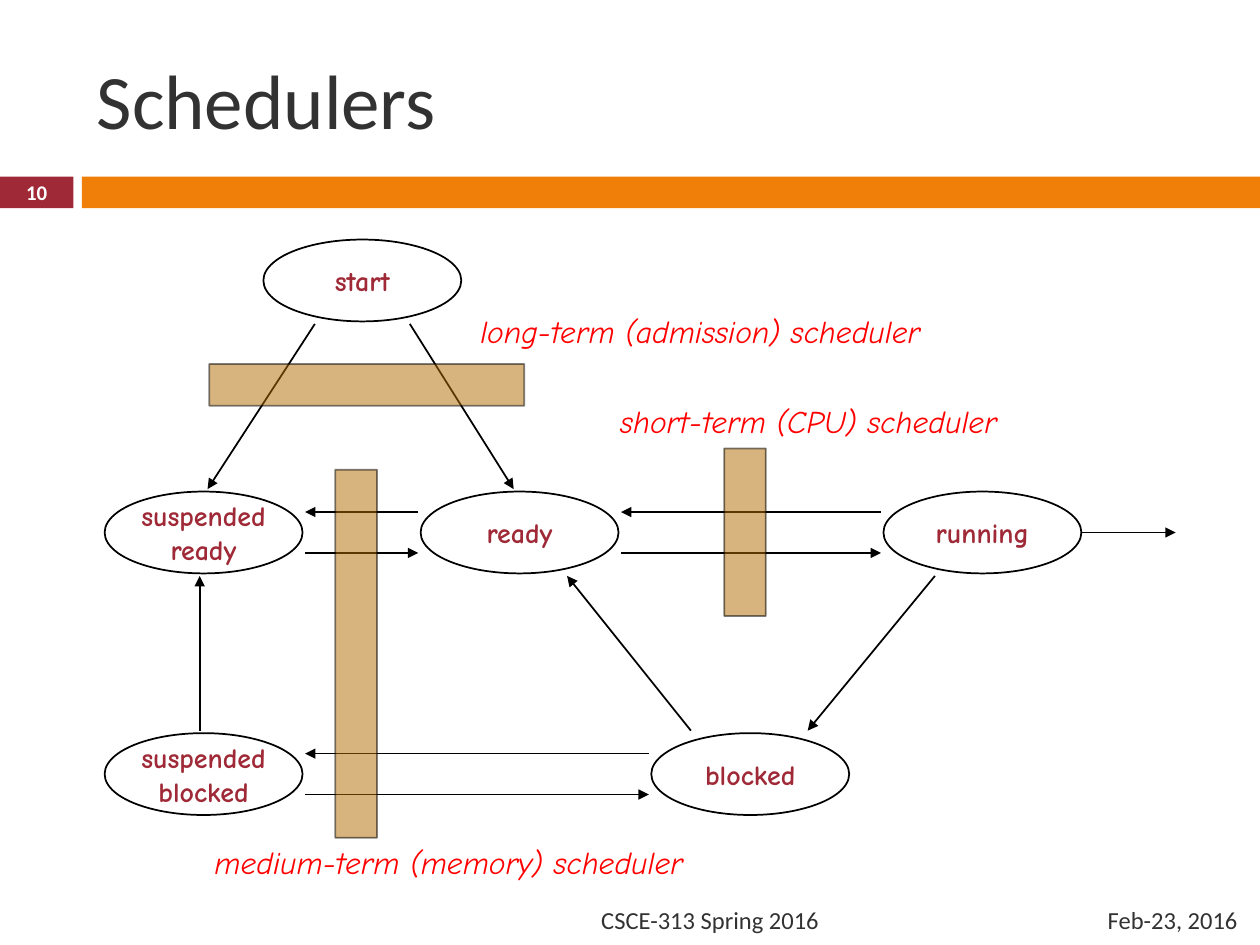
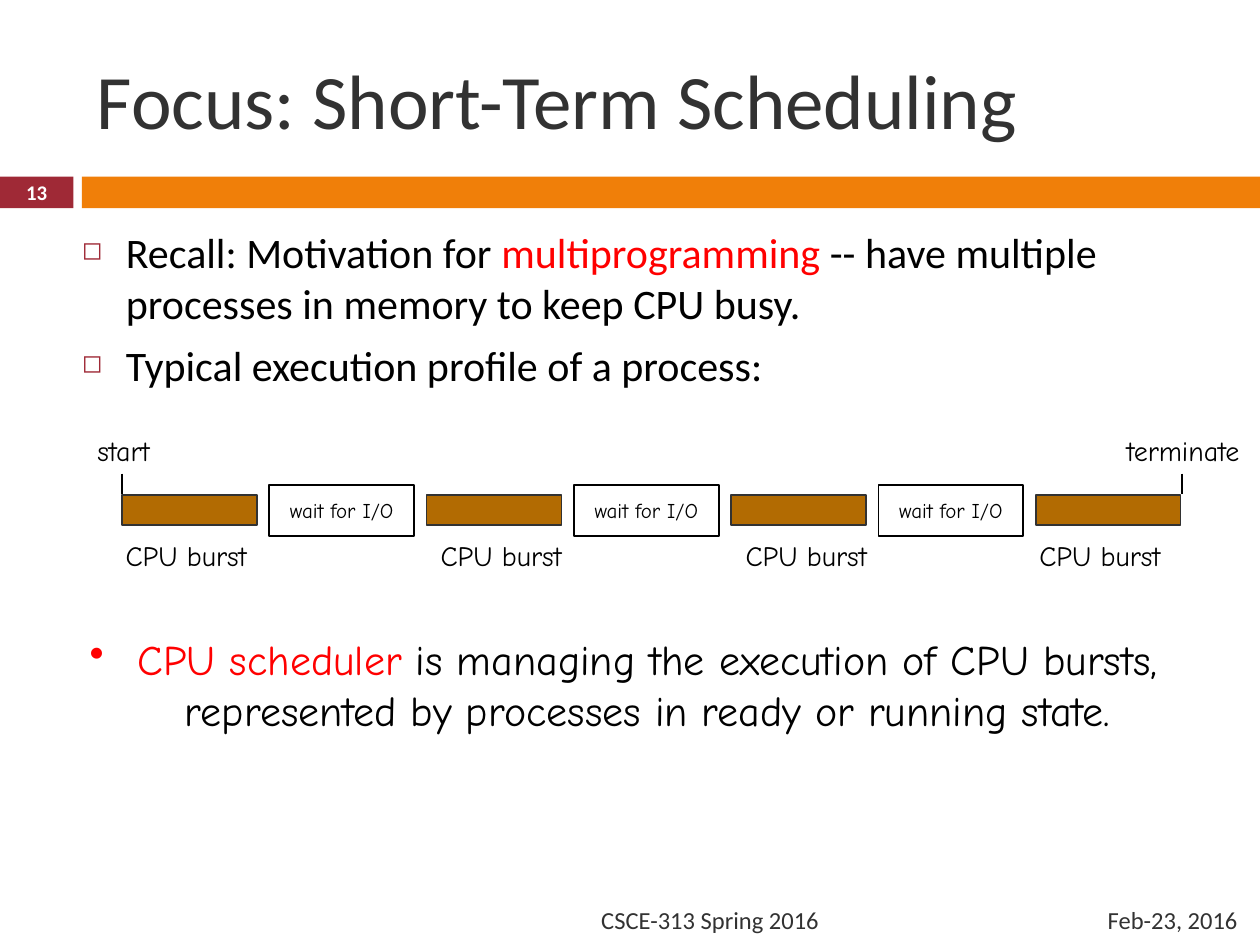
from lxml.etree import SubElement
from pptx import Presentation
from pptx.dml.color import RGBColor
from pptx.enum.shapes import MSO_CONNECTOR, MSO_SHAPE
from pptx.enum.text import MSO_ANCHOR, PP_ALIGN
from pptx.oxml.ns import qn
from pptx.util import Cm, Pt

RECT, OVAL = MSO_SHAPE.RECTANGLE, MSO_SHAPE.OVAL
LEFT, MID, RIGHT = PP_ALIGN.LEFT, PP_ALIGN.CENTER, PP_ALIGN.RIGHT
TOP, CENTRE = MSO_ANCHOR.TOP, MSO_ANCHOR.MIDDLE
LINE = MSO_CONNECTOR.STRAIGHT
SANS, COMIC = "Calibri", "Comic Neue"
HUES = {"wine": "9F2936", "orange": "F07F09", "grey": "323232", "black": "000000",
        "white": "FFFFFF", "red": "FF0000", "brown": "B26B02"}

# Shared content
COURSE, DATE = "CSCE-313 Spring 2016", "Feb-23, 2016"

# Schedulers: name -> (lines, left, top), in cm
STATES = {
    "start": (["start"], 5.31, 4.83),
    "blocked": (["blocked"], 13.13, 14.78),
    "ready": (["ready"], 8.48, 9.91),
    "running": (["running"], 17.81, 9.91),
    "held ready": (["suspended", "ready"], 2.11, 9.91),
    "held blocked": (["suspended", "blocked"], 2.11, 14.78),
}
WIDE, HIGH, GAP = 3.99, 1.65, 0.05
# Two-way moves: left state, right state
PAIRS = [("held ready", "ready"), ("ready", "running"), ("held blocked", "blocked")]
# One-way moves: from, share of its width, to, share of its width
MOVES = [
    ("start", 0.74, "ready", 0.47),
    ("start", 0.26, "held ready", 0.52),
    ("running", 0.26, "blocked", 0.79),
    ("blocked", 0.2, "ready", 0.74),
    ("held blocked", 0.48, "held ready", 0.48),
]
# Scheduler: label, label box, bar box
GATES = [
    ("long-term (admission) scheduler", (9.32, 6.17, 9.6, 1.02), (4.22, 7.34, 6.35, 0.84)),
    ("medium-term (memory) scheduler", (4.01, 16.87, 10.08, 1.02), (6.76, 9.47, 0.84, 7.42)),
    ("short-term (CPU) scheduler", (12.07, 7.98, 8.46, 1.02), (14.6, 9.04, 0.84, 3.38)),
]

# Short-term scheduling: paragraphs are lists of (text, colour)
RECALL = [
    [("Recall: Motivation for ", "black"), ("multiprogramming", "red"),
     (" -- have multiple processes in memory to keep CPU busy.", "black")],
    [("Typical execution profile of a process:", "black")],
]
CLOSE = [[("CPU scheduler", "red"),
          (" is managing the execution of CPU bursts, "
           "represented by processes in ready or running state.", "black")]]
# Burst width, label left
BURSTS = [(2.72, 2.18), (2.72, 8.53), (2.72, 14.68), (2.92, 20.6)]
# End label, its left and width, tick position
ENDS = [("start", 1.55, 1.88, 2.46), ("terminate", 22.3, 3.1, 23.83)]
FIRST, STEP = 2.46, 6.14


def hue(name):
    return RGBColor.from_string(HUES[name])


def write(shape, paras, size, font, tint, align=LEFT, anchor=TOP, wrap=False,
          bold=False, slant=False, mark=None):
    """Fill a shape with text; mark is (sign, colour, percent, indent, space)."""
    frame = shape.text_frame
    frame.word_wrap, frame.vertical_anchor = wrap, anchor
    for i, runs in enumerate(paras):
        para = frame.paragraphs[0] if i == 0 else frame.add_paragraph()
        para.alignment = align
        if mark:
            bullet(para, *mark)
        face = para.font
        face.name, face.size, face.bold, face.italic = font, Pt(size), bold, slant
        face.color.rgb = hue(tint)
        for words, shade in [(runs, tint)] if isinstance(runs, str) else runs:
            run = para.add_run()
            run.text = words
            if shade != tint:
                run.font.color.rgb = hue(shade)


def bullet(para, sign, tint, share, dent, space):
    para.space_before = Pt(space)
    props = para._p.get_or_add_pPr()
    props.set("marL", str(Cm(dent)))
    props.set("indent", str(-Cm(dent)))
    SubElement(SubElement(props, qn("a:buClr")), qn("a:srgbClr"), val=HUES[tint])
    SubElement(props, qn("a:buSzPct"), val=str(share * 1000))
    SubElement(props, qn("a:buChar"), char=sign)


def label(slide, box, *args, **opts):
    write(slide.shapes.add_textbox(*map(Cm, box)), *args, **opts)


def block(slide, kind, box, fill=None, edge=None):
    shape = slide.shapes.add_shape(kind, *map(Cm, box))
    shape.shadow.inherit = False
    if fill:
        shape.fill.solid()
        shape.fill.fore_color.rgb = hue(fill)
    else:
        shape.fill.background()
    if edge:
        shape.line.color.rgb = hue(edge)
        shape.line.width = Pt(1)
    else:
        shape.line.fill.background()
    return shape


def fade(shape, *shares):
    """Set the opacity of fill and line, in percent."""
    for tint, share in zip(shape.element.spPr.iter(qn("a:srgbClr")), shares):
        SubElement(tint, qn("a:alpha"), val=str(share * 1000))


def link(slide, x1, y1, x2, y2, arrow=True):
    line = slide.shapes.add_connector(LINE, Cm(x1), Cm(y1), Cm(x2), Cm(y2))
    line.line.color.rgb = hue("black")
    line.line.width = Pt(1)
    if arrow:
        SubElement(line.line._get_or_add_ln(), qn("a:tailEnd"), type="triangle")
    SubElement(line.element.spPr, qn("a:effectLst"))


def start(deck, title, number):
    """Add a slide with title, bands and footers."""
    slide = deck.slides.add_slide(deck.slide_layouts[6])
    tag = block(slide, RECT, (0, 3.56, 1.48, 0.64), "wine")
    write(tag, [number], 11.9, SANS, "white", MID, CENTRE, bold=True)
    block(slide, RECT, (1.65, 3.56, 23.75, 0.64), "orange")
    label(slide, (1.7, 0.63, 22.66, 2.74), [title], 44, SANS, "grey",
          anchor=CENTRE, wrap=True)
    for words, left, width in [(DATE, 17.78, 7.42), (COURSE, 1.7, 15.06)]:
        label(slide, (left, 18.03, width, 1.02), [words], 14, SANS, "grey",
              RIGHT, CENTRE, wrap=True)
    return slide


def draw_states(deck):
    slide = start(deck, "Schedulers", "10")
    for lines, left, top in STATES.values():
        oval = block(slide, OVAL, (left, top, WIDE, HIGH), "white", "black")
        write(oval, lines, 16, COMIC, "wine", MID, CENTRE, bold=True)

    # Two-way moves, a quarter of the height from top and bottom
    for a, b in PAIRS:
        _, left, top = STATES[a]
        x1, x2 = left + WIDE + GAP, STATES[b][1] - GAP
        link(slide, x2, top + HIGH / 4, x1, top + HIGH / 4)
        link(slide, x1, top + HIGH * 3 / 4, x2, top + HIGH * 3 / 4)

    # One-way moves between rows
    for a, part, b, share in MOVES:
        (_, x1, y1), (_, x2, y2) = STATES[a], STATES[b]
        down = y2 > y1
        link(slide, x1 + part * WIDE, y1 + HIGH + GAP if down else y1 - GAP,
             x2 + share * WIDE, y2 - GAP if down else y2 + HIGH + GAP)

    # Way out of running
    _, left, top = STATES["running"]
    link(slide, left + WIDE, top + HIGH / 2, 23.7, top + HIGH / 2)

    # Schedulers across the moves
    for words, place, bar in GATES:
        fade(block(slide, RECT, bar, "brown", "black"), 51, 50)
        label(slide, place, [words], 18, COMIC, "red", MID, slant=True)


def draw_bursts(deck):
    slide = start(deck, "Focus: Short-Term Scheduling", "13")
    label(slide, (1.4, 4.45, 23.29, 4.01), RECALL, 24, SANS, "black", wrap=True,
          mark=("◻", "wine", 60, 0.89, 7))

    # Time line
    for i, (width, left) in enumerate(BURSTS):
        x = FIRST + i * STEP
        block(slide, RECT, (x, 9.98, width, 0.61), "brown", "grey")
        label(slide, (left, 10.74, 3.15, 0.91), ["CPU burst"], 16, COMIC, "black", MID)
        if i < len(BURSTS) - 1:
            wait = block(slide, RECT, (x + 2.97, 9.78, 2.92, 1.02), edge="black")
            write(wait, ["wait for I/O"], 12, COMIC, "black", MID, CENTRE)
    for words, left, width, tick in ENDS:
        link(slide, tick, 9.55, tick, 9.96, arrow=False)
        label(slide, (left, 8.61, width, 0.91), [words], 16, COMIC, "black", MID)

    label(slide, (1.32, 12.65, 22.5, 4.01), CLOSE, 24, COMIC, "black", MID, wrap=True,
          mark=("•", "red", 100, 0.97, 5))


def main():
    deck = Presentation()
    deck.slide_width, deck.slide_height = Cm(25.4), Cm(19.05)
    draw_states(deck)
    draw_bursts(deck)
    deck.save("out.pptx")


if __name__ == "__main__":
    main()
